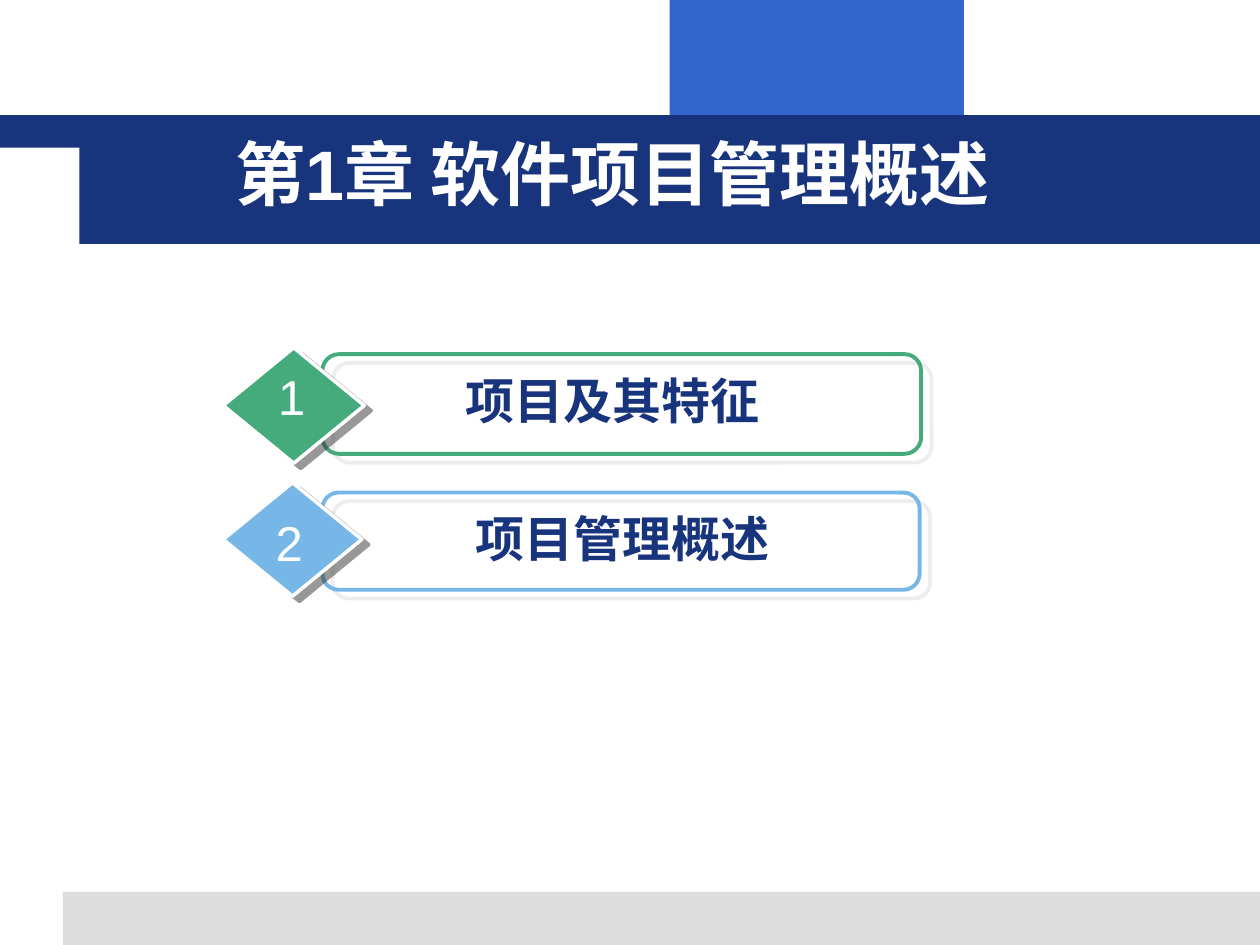
from lxml import etree
from pptx import Presentation, util as u
from pptx.dml.color import RGBColor
from pptx.enum import shapes, text
from pptx.oxml import ns

Cm, Pt = u.Cm, u.Pt
Shape = shapes.MSO_SHAPE
Align = text.PP_ALIGN

COLORS = {
    "navy": "17347D",
    "blue": "3366CC",
    "green": "45AB7D",
    "sky": "77B7E7",
    "gray": "DDDDDD",
    "dark": "333333",
    "white": "FFFFFF",
}
WIDTH, HEIGHT = 25.4, 19.05


def rgb(name):
    return RGBColor.from_string(COLORS[name])


def add_shape(s, kind, box, fill=None, line=None, line_pt=0):
    sp = s.shapes.add_shape(kind, *map(Cm, box))
    sp.shadow.inherit = False
    if fill:
        sp.fill.solid()
        sp.fill.fore_color.rgb = rgb(fill)
    else:
        sp.fill.background()
    if line:
        sp.line.color.rgb = rgb(line)
        sp.line.width = Pt(line_pt)
    else:
        sp.line.fill.background()
    return sp


def cast_shadow(sp, color, dist_pt, angle):
    """Give the shape a sharp, half transparent outer shadow."""
    effects = sp._element.spPr.find(ns.qn("a:effectLst"))
    shadow = etree.SubElement(
        effects, ns.qn("a:outerShdw"), blurRad="0", dist=str(Pt(dist_pt)),
        dir=str(angle * 60000), algn="ctr", rotWithShape="0")
    clr = etree.SubElement(shadow, ns.qn("a:srgbClr"), val=COLORS[color])
    etree.SubElement(clr, ns.qn("a:alpha"), val="50000")


def add_text(s, box, words, size, color, bold=False, align=Align.CENTER):
    tf = s.shapes.add_textbox(*map(Cm, box)).text_frame
    tf.word_wrap = True
    tf.auto_size = text.MSO_AUTO_SIZE.SHAPE_TO_FIT_TEXT
    p = tf.paragraphs[0]
    p.text = words
    p.alignment = align
    p.font.name = "Arial"
    p.font.size = Pt(size)
    p.font.bold = bold
    p.font.color.rgb = rgb(color)
    return p


def add_header(s, left, top, width, height):
    """Navy title band with a thin strip on its left and a blue block above."""
    indent = 1.6
    add_shape(s, Shape.RECTANGLE, (13.5, 0, 5.93, top), "blue")
    add_shape(s, Shape.RECTANGLE, (left, top, width, 0.66), "navy")
    add_shape(s, Shape.RECTANGLE,
              (left + indent, top, width - indent, height), "navy")
    p = add_text(s, (left + 4.5, top + 0.19, 18, 1.96),
                 "第1章 软件项目管理概述 ", 40, "white", True, Align.LEFT)
    p.space_before = Pt(11.2)


def add_footer(s, left, top, width, height):
    add_shape(s, Shape.RECTANGLE, (left, top, width, height), "gray")


def add_agenda_item(s, left, top, width, height, number, label, color,
                    inset, frame_height, label_dx, number_dx, number_dy):
    """Numbered diamond overlapping an outlined label frame."""
    frame_left, frame_top = left + 2, top + inset
    frame = add_shape(s, Shape.ROUNDED_RECTANGLE,
                      (frame_left, frame_top, width - 2, frame_height),
                      line=color, line_pt=2.25)
    cast_shadow(frame, "gray", 7.8, 40)
    diamond = add_shape(s, Shape.DIAMOND, (left, top, height * 1.22, height),
                        color, "white", 2)
    cast_shadow(diamond, "dark", 5, 37)
    add_text(s, (frame_left + label_dx, frame_top + 0.2, 9.53, 1.45),
             label, 28, "navy", True)
    add_text(s, (left + number_dx, top + number_dy, 1.96, 1.45),
             number, 28, "white")


def main():
    prs = Presentation()
    prs.slide_width, prs.slide_height = Cm(WIDTH), Cm(HEIGHT)
    s = prs.slides.add_slide(prs.slide_layouts[6])
    add_footer(s, 1.27, 17.98, WIDTH - 1.27, HEIGHT - 17.98)
    add_header(s, 0, 2.32, WIDTH, 2.6)
    add_agenda_item(s, 4.5, 7.01, 14.07, 2.33, "1", "项目及其特征 ", "green",
                    inset=0.13, frame_height=2.01, label_dx=1.2,
                    number_dx=0.4, number_dy=0.25)
    add_agenda_item(s, 4.5, 9.73, 14.04, 2.29, "2", "项目管理概述 ", "sky",
                    inset=0.2, frame_height=1.96, label_dx=1.4,
                    number_dx=0.35, number_dy=0.48)
    prs.save("out.pptx")


if __name__ == "__main__":
    main()
